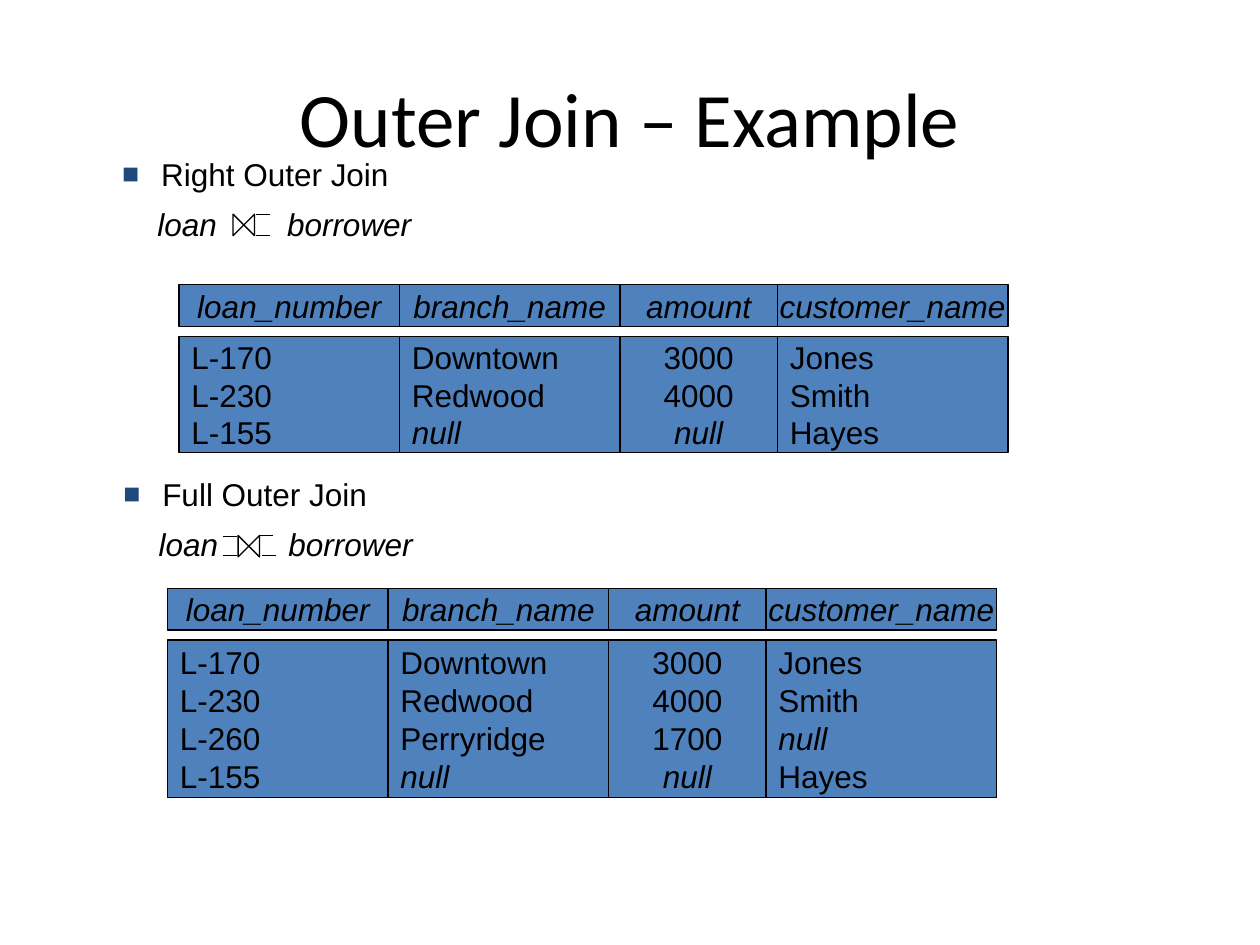
from itertools import accumulate

from lxml import etree
from pptx import Presentation
from pptx.dml.color import RGBColor
from pptx.enum.shapes import MSO_CONNECTOR, MSO_SHAPE
from pptx.enum.text import MSO_ANCHOR, PP_ALIGN
from pptx.oxml.ns import qn
from pptx.util import Inches, Pt

RECT = MSO_SHAPE.RECTANGLE
COLLATE = MSO_SHAPE.FLOWCHART_COLLATE
STRAIGHT = MSO_CONNECTOR.STRAIGHT
MIDDLE = MSO_ANCHOR.MIDDLE
LEFT, CENTER = PP_ALIGN.LEFT, PP_ALIGN.CENTER

HEADERS = ["loan_number", "branch_name", "amount", "customer_name"]
WIDTHS = [1.75, 1.75, 1.25, 1.83]
ALIGNS = [LEFT, LEFT, CENTER, LEFT]
RIGHT_JOIN = [
    ("L-170", "Downtown", "3000", "Jones"),
    ("L-230", "Redwood", "4000", "Smith"),
    ("L-155", "null", "null", "Hayes"),
]
FULL_JOIN = [
    ("L-170", "Downtown", "3000", "Jones"),
    ("L-230", "Redwood", "4000", "Smith"),
    ("L-260", "Perryridge", "1700", "null"),
    ("L-155", "null", "null", "Hayes"),
]


def rgb(color):
    return RGBColor.from_string(color)


class Deck:
    INK = "000000"
    FILL = "4F81BD"
    BULLET = "1F497D"

    def __init__(self, prs):
        self.s = prs.slides.add_slide(prs.slide_layouts[5])

    def font(self, p, size=18, name="Arial", italic=False):
        p.font.size = Pt(size)
        p.font.name = name
        p.font.italic = italic
        p.font.color.rgb = rgb(self.INK)

    def outline(self, sp):
        sp.line.color.rgb = rgb(self.INK)
        sp.line.width = Pt(0.75)

    def title(self, text, x, y, w, h):
        sp = self.s.shapes.title
        sp.left, sp.top, sp.width, sp.height = map(Inches, (x, y, w, h))
        tf = sp.text_frame
        tf.text = text
        tf.vertical_anchor = MIDDLE
        p = tf.paragraphs[0]
        p.alignment = CENTER
        self.font(p, 44, "Calibri")

    def cell(self, lines, x, y, w, h, align, header=False):
        sp = self.s.shapes.add_shape(RECT, *map(Inches, (x, y, w, h)))
        sp.shadow.inherit = False
        sp.fill.solid()
        sp.fill.fore_color.rgb = rgb(self.FILL)
        self.outline(sp)
        tf = sp.text_frame
        tf.word_wrap = not header
        tf.vertical_anchor = MIDDLE
        tf.text = "\n".join(lines)
        for p in tf.paragraphs:
            p.alignment = align
            self.font(p, italic=header or p.text == "null")

    def relation(self, rows, x, y, body_h):
        lefts = accumulate(WIDTHS, initial=x)
        for left, w, name, align, values in zip(lefts, WIDTHS, HEADERS, ALIGNS, zip(*rows)):
            self.cell([name], left, y, w, 0.33, CENTER, header=True)
            self.cell(values, left, y + 0.41, w, body_h, align)

    def text(self, text, x, y, w, italic=False):
        sp = self.s.shapes.add_textbox(*map(Inches, (x, y, w, 0.4)))
        tf = sp.text_frame
        tf.word_wrap = True
        tf.text = text
        p = tf.paragraphs[0]
        self.font(p, italic=italic)
        return p

    def bullet(self, p):
        pPr = p._p.get_or_add_pPr()
        pPr.set("marL", str(Inches(0.31)))
        pPr.set("indent", str(Inches(-0.31)))
        color = etree.Element(qn("a:buClr"))
        etree.SubElement(color, qn("a:srgbClr"), val=self.BULLET)
        size = etree.Element(qn("a:buSzPct"), val="90000")
        face = etree.Element(qn("a:buFont"), typeface="Arial")
        char = etree.Element(qn("a:buChar"), char="■")
        for i, element in enumerate((color, size, face, char)):
            pPr.insert(i, element)

    def heading(self, text, x, y):
        self.bullet(self.text(text, x, y, 4.45))
        self.text("loan", x + 0.28, y + 0.4, 0.75, italic=True)
        self.text("borrower", x + 1.31, y + 0.4, 1.5, italic=True)

    def line(self, x1, y1, x2, y2):
        c = self.s.shapes.add_connector(STRAIGHT, *map(Inches, (x1, y1, x2, y2)))
        self.outline(c)
        etree.SubElement(c._element.spPr, qn("a:effectLst"))

    def join_symbol(self, x, y, dashes):
        sp = self.s.shapes.add_shape(COLLATE, *map(Inches, (x, y, 0.17, 0.17)))
        sp.shadow.inherit = False
        sp.fill.background()
        self.outline(sp)
        sp.rotation = 270
        for left, top in dashes:
            self.line(left, top, left + 0.11, top)


def main():
    prs = Presentation()
    prs.slide_width, prs.slide_height = Inches(10), Inches(7.5)
    deck = Deck(prs)
    deck.title("Outer Join – Example", 0.5, 0.3, 9, 1.25)

    deck.relation(RIGHT_JOIN, 1.42, 2.26, 0.92)
    deck.relation(FULL_JOIN, 1.33, 4.67, 1.25)

    deck.heading("Full Outer Join", 0.88, 3.72)
    deck.join_symbol(1.89, 4.25, [(1.77, 4.26), (1.77, 4.41), (2.08, 4.41), (2.06, 4.25)])
    deck.heading("Right Outer Join", 0.87, 1.18)
    deck.join_symbol(1.85, 1.7, [(2.03, 1.7), (2.03, 1.87)])
    prs.save("out.pptx")


if __name__ == "__main__":
    main()
